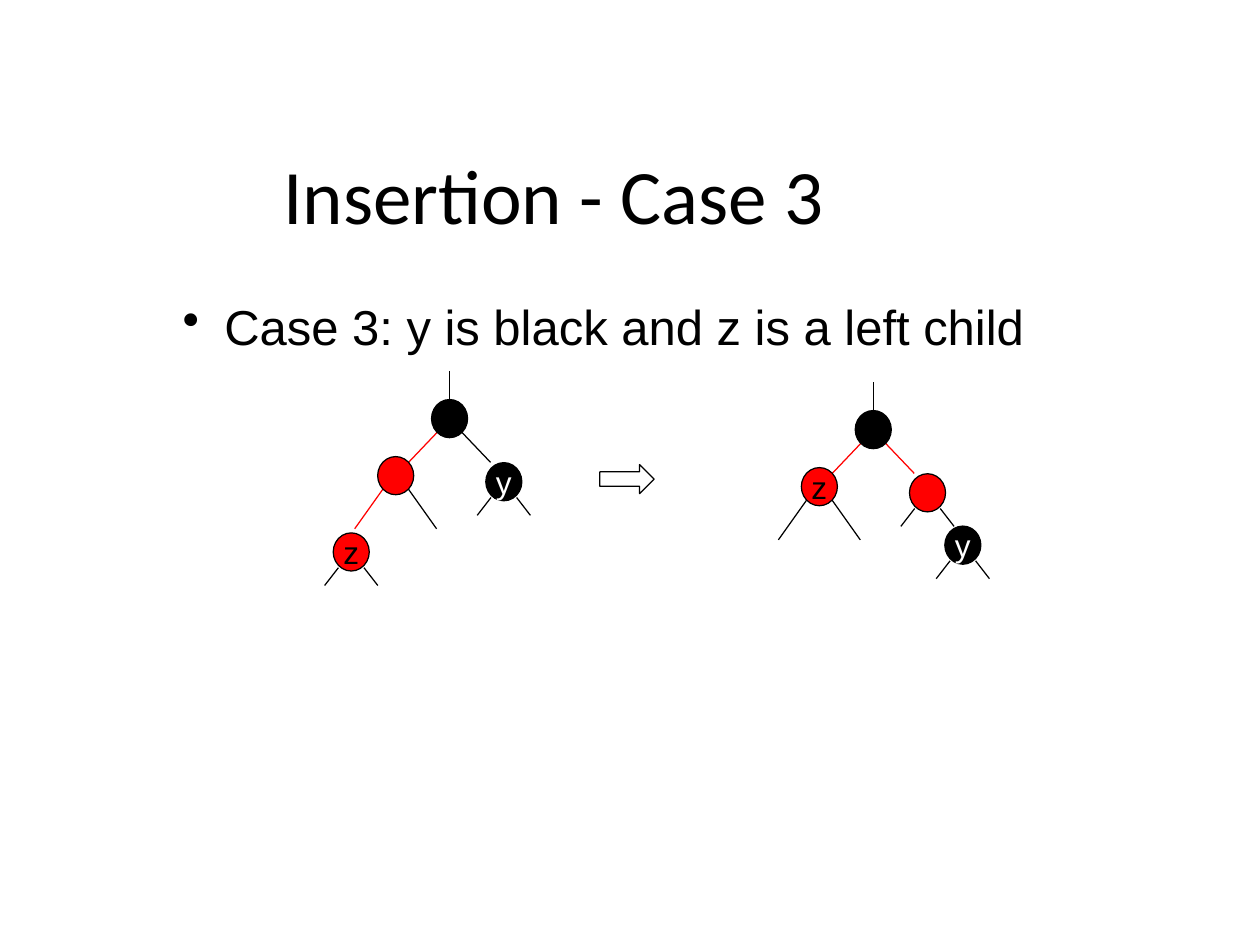
import pptx
import pptx.dml.color
import pptx.enum.shapes
import pptx.enum.text
import pptx.oxml.ns
import pptx.util
import lxml.etree

Pt = pptx.util.Pt
SHAPE = pptx.enum.shapes.MSO_SHAPE
ALIGN = pptx.enum.text.PP_ALIGN
ANCHOR = pptx.enum.text.MSO_ANCHOR

BLACK, RED, WHITE = "000000", "FF0000", "FFFFFF"
NODE_WIDTH, NODE_HEIGHT = 20.6, 21.8
LINE_WIDTH = 0.71

ROOT = (0, 27.2)
INNER_LEFT = (-30.8, 59.8)
INNER_RIGHT = (31, 63.3)
OUTER_LEFT = (-56.2, 103.4)
OUTER_RIGHT = (51.2, 93.2)

ROOT_LEGS = (7, 7.8, 23.4, 25)
LONG_LEGS = (7.2, 7.6, 23.4, 30.4)
SHORT_LEGS = (7.3, 9, 15.2, 19.2)


def color(hex_code):
    return pptx.dml.color.RGBColor.from_string(hex_code)


def write(frame, text, font="Arial", size=18, ink=BLACK, align=ALIGN.LEFT,
          anchor=ANCHOR.TOP, wrap=True, space_before=0, inset_top=0, bullet=None):
    frame.auto_size = pptx.enum.text.MSO_AUTO_SIZE.NONE
    frame.word_wrap = wrap
    frame.vertical_anchor = anchor
    frame.margin_left = frame.margin_right = frame.margin_bottom = 0
    frame.margin_top = Pt(inset_top)
    paragraph = frame.paragraphs[0]
    paragraph.alignment = align
    paragraph.space_before = Pt(space_before)
    run = paragraph.add_run()
    run.text = text
    run.font.name = font
    run.font.size = Pt(size)
    run.font.color.rgb = color(ink)
    if bullet:
        properties = paragraph._p.get_or_add_pPr()
        properties.set("marL", str(Pt(24.5)))
        properties.set("indent", str(Pt(-23.8)))
        mark = lxml.etree.SubElement(properties, pptx.oxml.ns.qn("a:buChar"))
        mark.set("char", bullet)


def add_edge(slide, x1, y1, x2, y2, ink=BLACK):
    edge = slide.shapes.add_connector(
        pptx.enum.shapes.MSO_CONNECTOR.STRAIGHT, Pt(x1), Pt(y1), Pt(x2), Pt(y2))
    edge.line.color.rgb = color(ink)
    edge.line.width = Pt(LINE_WIDTH)
    lxml.etree.SubElement(edge._element.spPr, pptx.oxml.ns.qn("a:effectLst"))
    return edge


def add_outlined(slide, preset, left, top, width, height):
    shape = slide.shapes.add_shape(preset, Pt(left), Pt(top), Pt(width), Pt(height))
    shape.shadow.inherit = False
    shape.line.color.rgb = color(BLACK)
    shape.line.width = Pt(LINE_WIDTH)
    return shape


def add_node(slide, x, y, fill, label, legs, left_ink, right_ink):
    if legs:
        start_x, start_y, end_x, end_y = legs
        for side, ink in ((-1, left_ink), (1, right_ink)):
            add_edge(slide, x + side * start_x, y + start_y,
                     x + side * end_x, y + end_y, ink)
    node = add_outlined(slide, SHAPE.OVAL, x - NODE_WIDTH / 2, y - NODE_HEIGHT / 2,
                        NODE_WIDTH, NODE_HEIGHT)
    node.fill.solid()
    node.fill.fore_color.rgb = color(fill)
    if label:
        write(node.text_frame, label, ink=WHITE if fill == BLACK else BLACK,
              align=ALIGN.CENTER, anchor=ANCHOR.MIDDLE, wrap=False)
    return node


def add_tree(slide, x, top, nodes):
    placed = [add_node(slide, x + dx, top + dy, *style)
              for (dx, dy), *style in nodes]
    stem = add_edge(slide, x, top, x, top + ROOT[1] - NODE_HEIGHT / 2)
    stem.end_connect(placed[0], 0)


def add_title(slide, left, top, width, height):
    title = slide.shapes.title
    title.left, title.top, title.width, title.height = map(Pt, (left, top, width, height))
    write(title.text_frame, "Insertion - Case 3", font="Calibri", size=44,
          align=ALIGN.CENTER, anchor=ANCHOR.MIDDLE, space_before=0.9, inset_top=0.9)


def add_case(slide, left, top, width, height):
    case = slide.shapes.add_textbox(Pt(left), Pt(top), Pt(width), Pt(height))
    write(case.text_frame, "Case 3: y is black and z is a left child", size=28,
          space_before=0.9, inset_top=0.9, bullet="•")


def main():
    deck = pptx.Presentation()
    deck.slide_width, deck.slide_height = Pt(720), Pt(540)
    slide = deck.slides.add_slide(deck.slide_layouts[5])
    add_title(slide, 123.8, 83.5, 385.2, 54)
    add_case(slide, 103.7, 168.5, 543.6, 34.6)
    add_tree(slide, 256.9, 212, [
        (ROOT, BLACK, "", ROOT_LEGS, RED, BLACK),
        (INNER_LEFT, RED, "", LONG_LEGS, RED, BLACK),
        (INNER_RIGHT, BLACK, "y", SHORT_LEGS, BLACK, BLACK),
        (OUTER_LEFT, RED, "z", SHORT_LEGS, BLACK, BLACK),
    ])
    rotation = add_outlined(slide, SHAPE.RIGHT_ARROW, 342.8, 265.5, 31, 16.6)
    rotation.fill.background()
    add_tree(slide, 499, 218.3, [
        (ROOT, BLACK, "", ROOT_LEGS, RED, RED),
        (INNER_LEFT, RED, "z", LONG_LEGS, BLACK, BLACK),
        (INNER_RIGHT, RED, "", SHORT_LEGS, BLACK, BLACK),
        (OUTER_RIGHT, BLACK, "y", SHORT_LEGS, BLACK, BLACK),
    ])
    deck.save("out.pptx")


if __name__ == "__main__":
    main()
